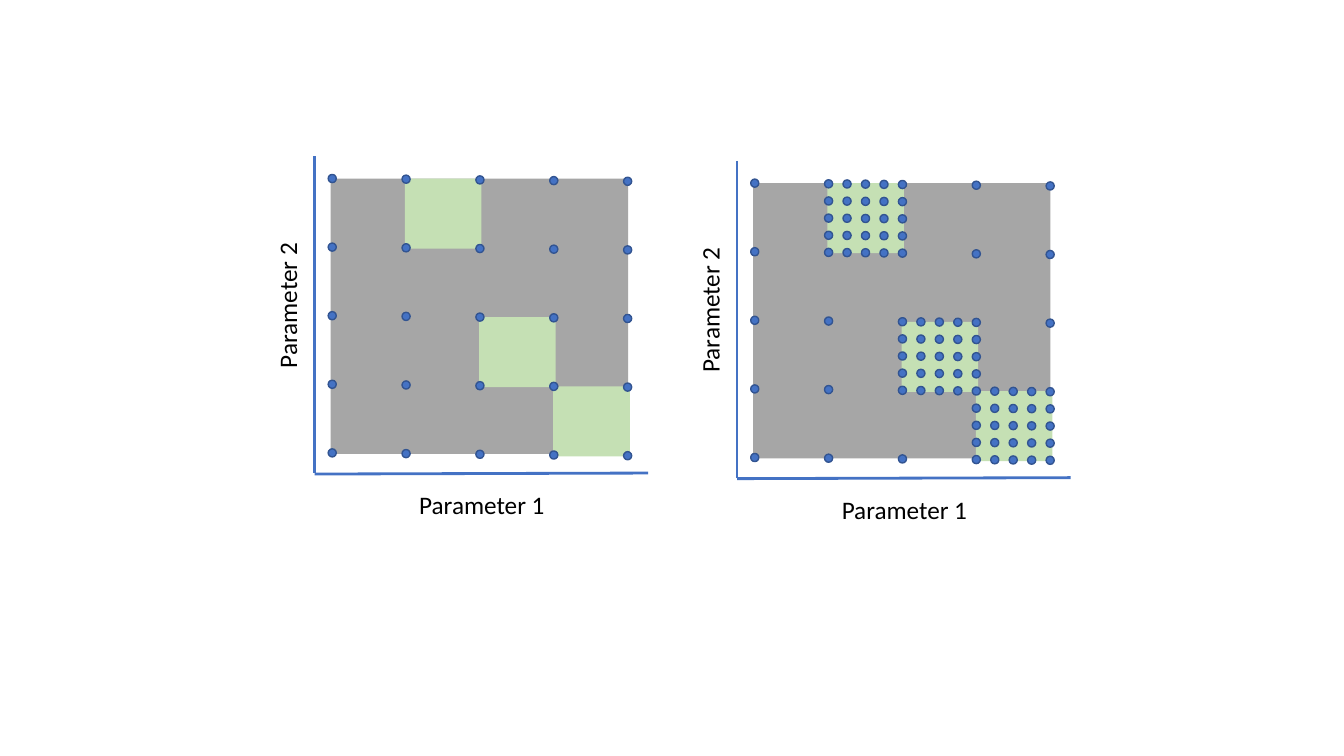
from lxml import etree
from pptx import Presentation
from pptx.dml.color import RGBColor
from pptx.enum import shapes, text
from pptx.oxml.ns import qn
from pptx.util import Pt

BLUE, OUTLINE, GREY, GREEN = "4472C4", "325491", "A6A6A6", "C5E0B4"
DOT = 5.8
STEP_X, STEP_Y, DRIFT = 52.75, 49, 0.5
POINTS = 5  # sample points along each side of a grid
REFINED = [(1, 0), (2, 2), (3, 3)]  # column and row of each green cell


def color(hex_string):
    return RGBColor.from_string(hex_string)


def add_filled(slide, kind, x, y, w, h, fill, line=None):
    sp = slide.shapes.add_shape(kind, Pt(x), Pt(y), Pt(w), Pt(h))
    sp.shadow.inherit = False
    sp.fill.solid()
    sp.fill.fore_color.rgb = color(fill)
    if line:
        sp.line.color.rgb = color(line)
        sp.line.width = Pt(1)
    else:
        sp.line.fill.background()


def add_rect(slide, x, y, w, h, fill):
    add_filled(slide, shapes.MSO_SHAPE.RECTANGLE, x, y, w, h, fill)


def add_axis(slide, x1, y1, x2, y2):
    line = slide.shapes.add_connector(
        shapes.MSO_CONNECTOR.STRAIGHT, Pt(x1), Pt(y1), Pt(x2), Pt(y2))
    line.line.color.rgb = color(BLUE)
    line.line.width = Pt(2)
    etree.SubElement(line._element.spPr, qn("a:effectLst"))


def add_label(slide, x, y, words, rotation=0):
    sp = slide.shapes.add_textbox(Pt(x), Pt(y), Pt(105), Pt(29))
    sp.rotation = rotation
    tf = sp.text_frame
    tf.word_wrap = False
    tf.auto_size = text.MSO_AUTO_SIZE.SHAPE_TO_FIT_TEXT
    p = tf.paragraphs[0]
    p.text = words
    p.font.name = "Calibri"
    p.font.size = Pt(18)
    p.font.color.rgb = color("000000")


def add_dot(slide, x, y, col, row):
    """Place a dot at a grid position; fractions fall inside a cell."""
    add_filled(slide, shapes.MSO_SHAPE.OVAL, x - 1.8 + col * STEP_X,
               y - 3 + row * STEP_Y + col * DRIFT, DOT, DOT, BLUE, OUTLINE)


def add_refinement(slide, x, y, col, row):
    """Fill one cell with a finer grid, whose corners are already drawn."""
    last = POINTS - 1
    for i in range(POINTS):
        for j in range(POINTS):
            if i % last or j % last:
                add_dot(slide, x, y, col + i / last, row + j / last)


def add_panel(slide, x, y, refine):
    """Draw a parameter plane whose grey area starts at x, y."""
    add_rect(slide, x, y, 212.4, 196.6, GREY)
    for col, row in REFINED:
        add_rect(slide, x + col * 53, y + row * 49.5, 54.7, 50, GREEN)
    add_axis(slide, x - 11.5, y - 16, x - 11.5, y + 210.3)
    add_axis(slide, x + 226.8, y + 210.3, x - 11.5, y + 211)
    for col in range(POINTS):
        for row in range(POINTS):
            add_dot(slide, x, y, col, row)
    add_label(slide, x + 56.2, y + 218.7, "Parameter 1")
    add_label(slide, x - 83.5, y + 75.4, "Parameter 2", 270)
    if refine:
        for col, row in REFINED:
            add_refinement(slide, x, y, col, row)


def main():
    prs = Presentation()
    prs.slide_width, prs.slide_height = Pt(960), Pt(540)
    slide = prs.slides.add_slide(prs.slide_layouts[6])
    add_panel(slide, 236.2, 127.6, refine=False)
    add_panel(slide, 538, 130.9, refine=True)
    prs.save("out.pptx")


if __name__ == "__main__":
    main()
